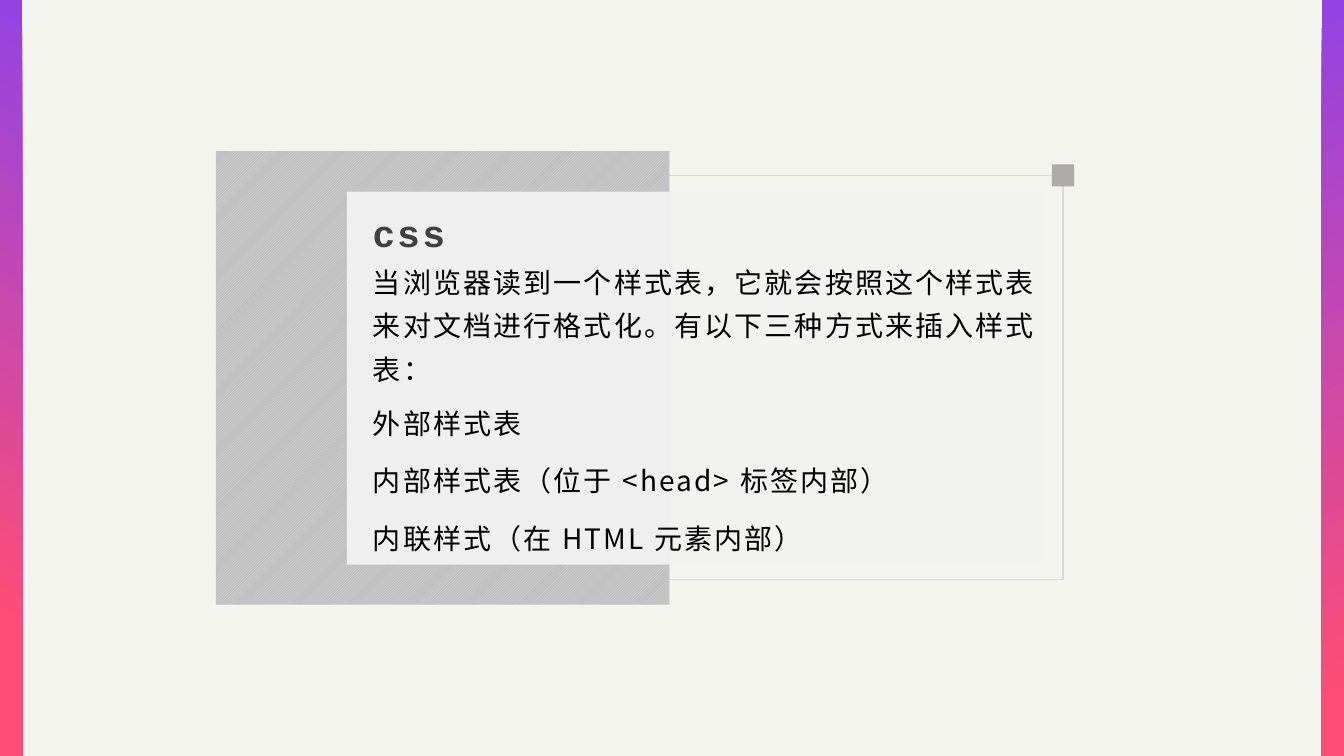
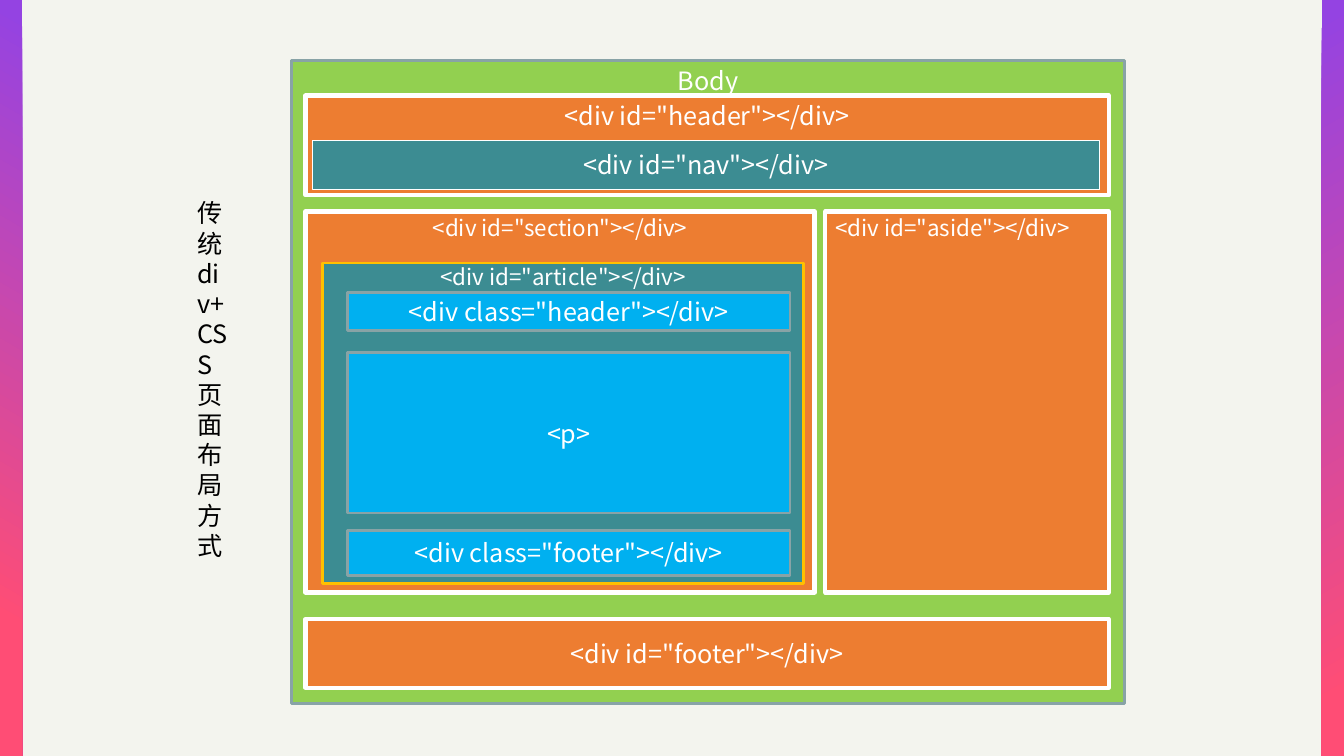
from dataclasses import dataclass

from lxml.etree import SubElement
from pptx import Presentation
from pptx.dml.color import RGBColor
from pptx.enum.dml import MSO_PATTERN
from pptx.enum.shapes import MSO_SHAPE
from pptx.enum.text import MSO_ANCHOR as Anchor, MSO_AUTO_SIZE, PP_ALIGN as Align
from pptx.oxml.ns import qn
from pptx.util import Cm, Pt


@dataclass(frozen=True)
class Theme:
    """Colours, fonts and type sizes shared by the slides."""
    paper: str = "F3F4EE"
    purple: str = "9443E2"
    pink: str = "FF4D75"
    black: str = "000000"
    white: str = "FFFFFF"
    heading: str = "404040"
    panel: str = "F2F2F2"
    stripe: str = "D9D9D9"
    stripe_back: str = "BFBFBF"
    corner: str = "AFABAB"
    green: str = "92D050"
    orange: str = "ED7D31"
    teal: str = "3C8C92"
    blue: str = "00B0F0"
    slate: str = "88A3A6"
    gold: str = "FFC000"
    font: str = "Noto Sans CJK SC"
    heading_font: str = "Arial"
    heading_size: int = 27
    text_size: int = 20
    label_size: int = 18
    small_size: int = 16


THEME = Theme()

# All lengths are in centimetres; boxes are (left, top, width, height).
SLIDE_WIDTH, SLIDE_HEIGHT = 33.87, 19.05
BAND_WIDTH = 0.56
BANDS = [(0, 0.82, False), (SLIDE_WIDTH - BAND_WIDTH, 0.92, True)]

CSS_TITLE = "css"
CSS_INTRO = ["当浏览器读到一个样式表，它就会按照这个样式表来对文档进行格式化。有以下三种方式来插入样式表："]
CSS_WAYS = [
    "外部样式表",
    "内部样式表（位于 <head> 标签内部）",
    "内联样式（在 HTML 元素内部）",
]
FRAME = (14.5, 4.42, 12.29, 10.19)
STRIPED_SQUARE = (5.44, 3.81, 11.43, 11.43)
PANEL = (8.74, 4.83, 17.5, 9.4)
CORNER_SIZE = 0.56
CSS_TITLE_BOX = (9.2, 5.21, 14.78, 1.22)
CSS_TEXTS = [
    (CSS_INTRO, (9.2, 6.43, 17.18, 3.38)),
    (CSS_WAYS, (9.2, 9.98, 17.18, 4.45)),
]
CSS_INSETS = (0.2, 0, 0.18, 0)

LAYOUT_TITLE = "传统div+CSS页面布局方式"
LAYOUT_TITLE_BOX = (4.72, 4.85, 1.3, 10.26)
LABEL_INSETS = (0.25, 0.13, 0.25, 0.13)

# Style: fill, line colour, line width in points
STYLES = {
    "body": (THEME.green, THEME.slate, 2),
    "region": (THEME.orange, THEME.white, 3),
    "nav": (THEME.teal, THEME.white, 0.25),
    "article": (THEME.teal, THEME.gold, 2),
    "part": (THEME.blue, THEME.slate, 2),
}
PAGE_LEFT, PAGE_WIDTH = 7.7, 20.24
MAIN_TOP, MAIN_HEIGHT = 5.33, 9.6
SECTION_WIDTH, ASIDE_WIDTH = 12.83, 7.14
ASIDE_LEFT = PAGE_LEFT + PAGE_WIDTH - ASIDE_WIDTH
PART_LEFT, PART_WIDTH = 8.76, 11.15

# Block: label, style, box, size, gap above the label (None centres it), alignment
BIG, SMALL = THEME.label_size, THEME.small_size
BLOCKS = [
    ("Body", "body", (7.34, 1.52, 21.01, 16.21), BIG, 0.13, Align.CENTER),
    ('<div id="header"></div>', "region", (PAGE_LEFT, 2.41, PAGE_WIDTH, 2.51),
     BIG, 0.13, Align.CENTER),
    ('<div id="nav"></div>', "nav", (7.87, 3.53, 19.84, 1.24), BIG, None, Align.CENTER),
    ('<div id="section"></div>', "region",
     (PAGE_LEFT, MAIN_TOP, SECTION_WIDTH, MAIN_HEIGHT), SMALL, 0.07, Align.CENTER),
    ('<div id="footer"></div>', "region", (PAGE_LEFT, 15.6, PAGE_WIDTH, 1.73),
     BIG, None, Align.CENTER),
    ('<div id="aside"></div>', "region",
     (ASIDE_LEFT, MAIN_TOP, ASIDE_WIDTH, MAIN_HEIGHT), SMALL, 0.07, Align.LEFT),
    ('<div id="article"></div>', "article", (8.13, 6.63, 12.12, 8.08),
     SMALL, 0, Align.CENTER),
]
ARTICLE_PARTS = [
    ('<div class="header"></div>', 7.37, 0.97),
    ("<p>", 8.89, 4.04),
    ('<div class="footer"></div>', 13.36, 1.14),
]
BLOCKS += [
    (label, "part", (PART_LEFT, top, PART_WIDTH, height), BIG, None, Align.CENTER)
    for label, top, height in ARTICLE_PARTS
]


def rgb(colour):
    """Turn a hex string into a colour."""
    return RGBColor.from_string(colour)


def place(shape, box):
    """Move a shape to a box."""
    shape.left, shape.top, shape.width, shape.height = map(Cm, box)


def add_rectangle(slide, box, fill=None, line=None, line_width=1):
    """Add a flat rectangle, optionally filled and outlined."""
    shape = slide.shapes.add_shape(MSO_SHAPE.RECTANGLE, *map(Cm, box))
    shape.shadow.inherit = False
    if fill:
        shape.fill.solid()
        shape.fill.fore_color.rgb = rgb(fill)
    else:
        shape.fill.background()
    if line:
        shape.line.color.rgb = rgb(line)
        shape.line.width = Pt(line_width)
    else:
        shape.line.fill.background()
    return shape


def set_text(shape, lines, size, colour, font=THEME.font, bold=False, spacing=0,
             align=Align.LEFT, anchor=Anchor.TOP, insets=LABEL_INSETS,
             line_spacing=None, space_before=0):
    """Write paragraphs into a shape and format them."""
    frame = shape.text_frame
    frame.text = "\n".join(lines)
    frame.word_wrap = True
    frame.auto_size = MSO_AUTO_SIZE.NONE
    frame.vertical_anchor = anchor
    (frame.margin_left, frame.margin_top,
     frame.margin_right, frame.margin_bottom) = map(Cm, insets)
    for paragraph in frame.paragraphs:
        paragraph.alignment = align
        paragraph.space_before = Pt(space_before)
        if line_spacing:
            paragraph.line_spacing = line_spacing
        for run in paragraph.runs:
            run.font.name = font
            run.font.size = Pt(size)
            run.font.bold = bold
            run.font.color.rgb = rgb(colour)
            properties = run.font._element
            SubElement(properties, qn("a:ea")).set("typeface", font)
            if spacing:
                properties.set("spc", str(int(spacing * 100)))


def add_bands(slide, layout):
    """Draw the gradient side bands once and hand them to the layout."""
    for index, (left, end, flipped) in enumerate(BANDS):
        band = add_rectangle(slide, (left, 0, BAND_WIDTH, SLIDE_HEIGHT))
        band.fill.gradient()
        band.fill.gradient_angle = 240
        stops = zip(band.fill.gradient_stops, (0.02, end), (THEME.purple, THEME.pink))
        for stop, position, colour in stops:
            stop.position = position
            stop.color.rgb = rgb(colour)
        if flipped:
            band.element.spPr.xfrm.set("flipH", "1")
        band.element.nvSpPr.cNvPr.set("id", str(100 + index))
        layout.shapes.element.insert(2 + index, band.element)


def build_css_slide(slide):
    """Build the text panel about ways to insert a style sheet."""
    add_rectangle(slide, FRAME, line=THEME.stripe)
    square = add_rectangle(slide, STRIPED_SQUARE)
    square.fill.patterned()
    square.fill.pattern = MSO_PATTERN.DARK_UPWARD_DIAGONAL
    square.fill.fore_color.rgb = rgb(THEME.stripe)
    square.fill.back_color.rgb = rgb(THEME.stripe_back)

    panel = add_rectangle(slide, PANEL, THEME.panel)
    colour = panel.element.spPr.find(qn("a:solidFill"))[0]
    SubElement(colour, qn("a:alpha")).set("val", "94000")

    left, top, width, _ = FRAME
    add_rectangle(slide, (left + width - CORNER_SIZE / 2, top - CORNER_SIZE / 2,
                          CORNER_SIZE, CORNER_SIZE), THEME.corner)

    title = slide.shapes.title
    place(title, CSS_TITLE_BOX)
    set_text(title, [CSS_TITLE], THEME.heading_size, THEME.heading,
             font=THEME.heading_font, bold=True, spacing=3,
             insets=(0.2, 0.08, 0.13, 0.08))
    slide.shapes.element.append(title.element)
    for lines, box in CSS_TEXTS:
        text_box = slide.shapes.add_textbox(*map(Cm, box))
        set_text(text_box, lines, THEME.text_size, THEME.black, spacing=1.5,
                 insets=CSS_INSETS, line_spacing=1.3, space_before=10)


def build_layout_slide(slide):
    """Build the nested block diagram of a div page."""
    place(slide.shapes.title, LAYOUT_TITLE_BOX)
    set_text(slide.shapes.title, [LAYOUT_TITLE], THEME.label_size, THEME.black)
    for label, style, box, size, gap, align in BLOCKS:
        block = add_rectangle(slide, box, *STYLES[style])
        if gap is None:
            anchor, insets = Anchor.MIDDLE, LABEL_INSETS
        else:
            anchor, insets = Anchor.TOP, (0.25, gap, 0.25, 0.13)
        set_text(block, [label], size, THEME.white, align=align,
                 anchor=anchor, insets=insets)


def main():
    """Build and save the presentation."""
    presentation = Presentation()
    presentation.slide_width = Cm(SLIDE_WIDTH)
    presentation.slide_height = Cm(SLIDE_HEIGHT)
    layout = presentation.slide_layouts.get_by_name("Title Only")
    background = presentation.slide_master.background.fill
    background.solid()
    background.fore_color.rgb = rgb(THEME.paper)

    css_slide = presentation.slides.add_slide(layout)
    add_bands(css_slide, layout)
    build_css_slide(css_slide)
    build_layout_slide(presentation.slides.add_slide(layout))
    presentation.save("out.pptx")


main()
